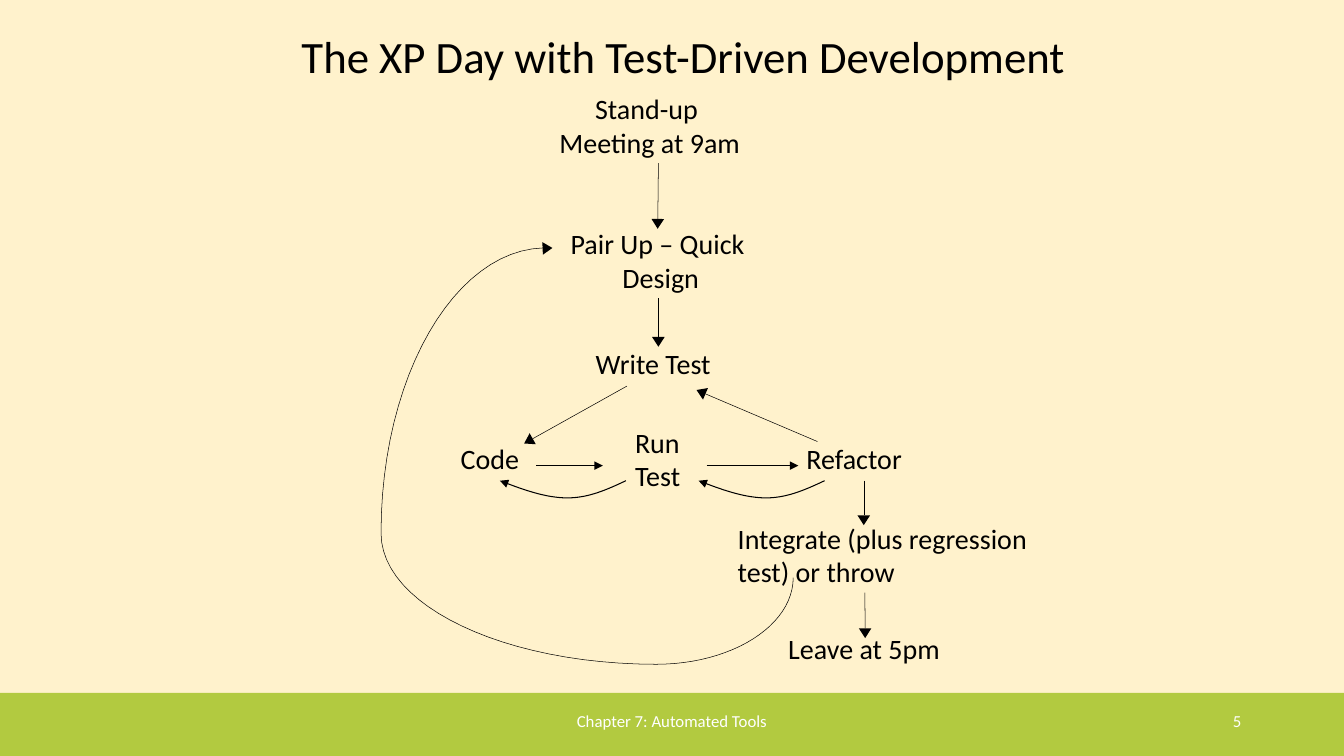
from dataclasses import dataclass
from math import hypot

from lxml.etree import SubElement
from pptx import Presentation
from pptx.dml.color import RGBColor
from pptx.enum.shapes import MSO_CONNECTOR as Conn, MSO_SHAPE as Shape
from pptx.enum.text import MSO_ANCHOR as Anchor, PP_ALIGN as Align
from pptx.oxml.ns import qn
from pptx.util import Pt

Point = tuple[float, float]


@dataclass(frozen=True)
class Theme:
    font: str = "Calibri"
    ink: RGBColor = RGBColor(0, 0, 0)
    white: RGBColor = RGBColor(255, 255, 255)
    paper: RGBColor = RGBColor(0xFF, 0xF2, 0xCC)
    band: RGBColor = RGBColor(0xB2, 0xCA, 0x40)
    title: float = 32
    step: float = 20
    footer: float = 12
    hairline: float = 0.38
    line: float = 0.75


@dataclass(frozen=True)
class Label:
    text: str
    left: float
    top: float
    width: float
    height: float = 24
    align: Align = Align.LEFT
    wrap: bool = False


@dataclass(frozen=True)
class Arrow:
    start: Point
    tip: Point


@dataclass(frozen=True)
class Curve:
    start: Point
    cubics: tuple[tuple[Point, Point, Point], ...]


THEME = Theme()
HEAD_LENGTH, HEAD_WIDTH, HEAD_GAP = 7, 9, 3

STEPS = [
    Label("Stand-up \nMeeting at 9am", 398.9, 65.5, 130.3, 48, Align.CENTER),
    Label("Pair Up – Quick \nDesign", 406.8, 162, 130.3, 48, Align.CENTER),
    Label("Write Test", 425.5, 247.7, 82.8),
    Label("Code", 329, 315.4, 41.8),
    Label("Run\nTest", 453.6, 303.8, 36.7, 48),
    Label("Refactor", 576, 315.4, 69.1),
    Label("Integrate (plus regression test) or throw", 527, 372.2, 247.7, 48, wrap=True),
    Label("Leave at 5pm", 563, 451.4, 109.4),
]
FLOW_ARROWS = [
    Arrow((470.3, 116.6), (469.8, 163.4)),
    Arrow((470.3, 213.1), (470.3, 247.7)),
    Arrow((447.8, 275.8), (374.4, 316.8)),
    Arrow((583.9, 315.4), (497.5, 278.6)),
    Arrow((617, 343.4), (617, 375.1)),
    Arrow((617.8, 423.4), (618, 455.8)),
]
TEST_ARROWS = [
    Arrow((383, 332.6), (430.6, 332.6)),
    Arrow((504.7, 332.6), (570.2, 332.6)),
]
RETURN_RIGHT_ENDS = (447.1, 589)
NEXT_PAIRING = Curve((566.6, 412.6), (
    ((566.6, 446.8), (522.8, 474.5), (468.7, 474.5)),
    ((360.2, 474.5), (272.2, 432.6), (272.2, 380.9)),
    ((272.2, 268.3), (325, 179), (388, 177.1)),
))


def set_text(s, text: str, size: float, color: RGBColor, align: Align) -> None:
    tf = s.text_frame
    tf.text = text
    for p in tf.paragraphs:
        p.alignment = align
        for r in p.runs:
            r.font.name, r.font.size = THEME.font, Pt(size)
            r.font.color.rgb = color


def add_label(shapes, label: Label, size: float, color: RGBColor):
    s = shapes.add_textbox(*map(Pt, (label.left, label.top, label.width, label.height)))
    set_text(s, label.text, size, color, label.align)
    tf = s.text_frame
    tf.word_wrap = label.wrap
    tf.margin_left = tf.margin_right = tf.margin_top = tf.margin_bottom = 0
    return s


def set_line(s, width: float, arrow: bool = False) -> None:
    s.line.color.rgb = THEME.ink
    s.line.width = Pt(width)
    if arrow:
        SubElement(s.line._get_or_add_ln(), qn("a:tailEnd"), type="triangle")


def add_line(shapes, start: Point, end: Point, width: float, arrow: bool = False) -> None:
    s = shapes.add_connector(Conn.STRAIGHT, *map(Pt, (*start, *end)))
    set_line(s, width, arrow)
    SubElement(s.element.spPr, qn("a:effectLst"))


def add_path(shapes, points: list[Point], close: bool):
    first, *rest = [(Pt(x), Pt(y)) for x, y in points]
    builder = shapes.build_freeform(*first)
    builder.add_line_segments(rest, close=close)
    s = builder.convert_to_shape()
    s.shadow.inherit = False
    return s


def add_head(shapes, start: Point, tip: Point) -> Point:
    """Draw a solid head at the tip and return the middle of its base."""
    dx, dy = tip[0] - start[0], tip[1] - start[1]
    length = hypot(dx, dy)
    ux, uy = dx / length, dy / length
    bx, by = tip[0] - HEAD_LENGTH * ux, tip[1] - HEAD_LENGTH * uy
    half = HEAD_WIDTH / 2
    corners = [tip, (bx - half * uy, by + half * ux), (bx + half * uy, by - half * ux)]
    s = add_path(shapes, corners, True)
    s.fill.solid()
    s.fill.fore_color.rgb = THEME.ink
    s.line.fill.background()
    return bx, by


def add_flow_arrow(shapes, arrow: Arrow) -> None:
    base = add_head(shapes, arrow.start, arrow.tip)
    add_line(shapes, arrow.start, base, THEME.hairline)


def add_curve(shapes, curve: Curve, width: float, arrow: bool = False, steps: int = 24) -> None:
    points = [curve.start]
    for cubic in curve.cubics:
        knots = (points[-1], *cubic)
        for i in range(1, steps + 1):
            t = i / steps
            weights = ((1 - t) ** 3, 3 * t * (1 - t) ** 2, 3 * t * t * (1 - t), t ** 3)
            points.append(tuple(sum(w * k[axis] for w, k in zip(weights, knots))
                                for axis in (0, 1)))
    s = add_path(shapes, points, False)
    s.fill.background()
    set_line(s, width, arrow)


def return_curve(right: float) -> Curve:
    top, low = 343.4, 355.7
    return Curve((right, top), (
        ((right - 13.7, top + 6.5), (right - 27, low), (right - 41.8, low)),
        ((right - 56.9, low), (right - 73.4, top + 6.5), (right - 90, top)),
    ))


def main() -> None:
    prs = Presentation()
    prs.slide_width, prs.slide_height = Pt(960), Pt(540)
    slide = prs.slides.add_slide(prs.slide_layouts[5])
    shapes = slide.shapes
    slide.background.fill.solid()
    slide.background.fill.fore_color.rgb = THEME.paper

    # Footer band
    band = shapes.add_shape(Shape.RECTANGLE, 0, Pt(495), Pt(960), Pt(45))
    band.shadow.inherit = False
    band.fill.solid()
    band.fill.fore_color.rgb = THEME.band
    band.line.fill.background()
    for label in (Label("Chapter 7: Automated Tools", 318, 500.4, 324, 28.8, Align.CENTER, True),
                  Label("5", 678, 500.4, 208.8, 28.8, Align.RIGHT, True)):
        s = add_label(shapes, label, THEME.footer, THEME.white)
        s.text_frame.vertical_anchor = Anchor.MIDDLE

    # Title
    title = shapes.title
    title.left, title.top, title.width, title.height = map(Pt, (190.8, 20.2, 594.7, 39.6))
    set_text(title, "The XP Day with Test-Driven Development",
             THEME.title, THEME.ink, Align.CENTER)
    title.text_frame.vertical_anchor = Anchor.MIDDLE

    # Steps of the day
    for step in STEPS:
        add_label(shapes, step, THEME.step, THEME.ink)

    # Arrows between steps
    for arrow in FLOW_ARROWS:
        add_flow_arrow(shapes, arrow)
    for arrow in TEST_ARROWS:
        add_line(shapes, arrow.start, arrow.tip, THEME.line, arrow=True)

    # Loops back to earlier steps
    for right in RETURN_RIGHT_ENDS:
        add_curve(shapes, return_curve(right), THEME.line, arrow=True)
    add_curve(shapes, NEXT_PAIRING, THEME.hairline)
    add_head(shapes, (386, 177.5), (394.6, 177.1))

    prs.save("out.pptx")


if __name__ == "__main__":
    main()
